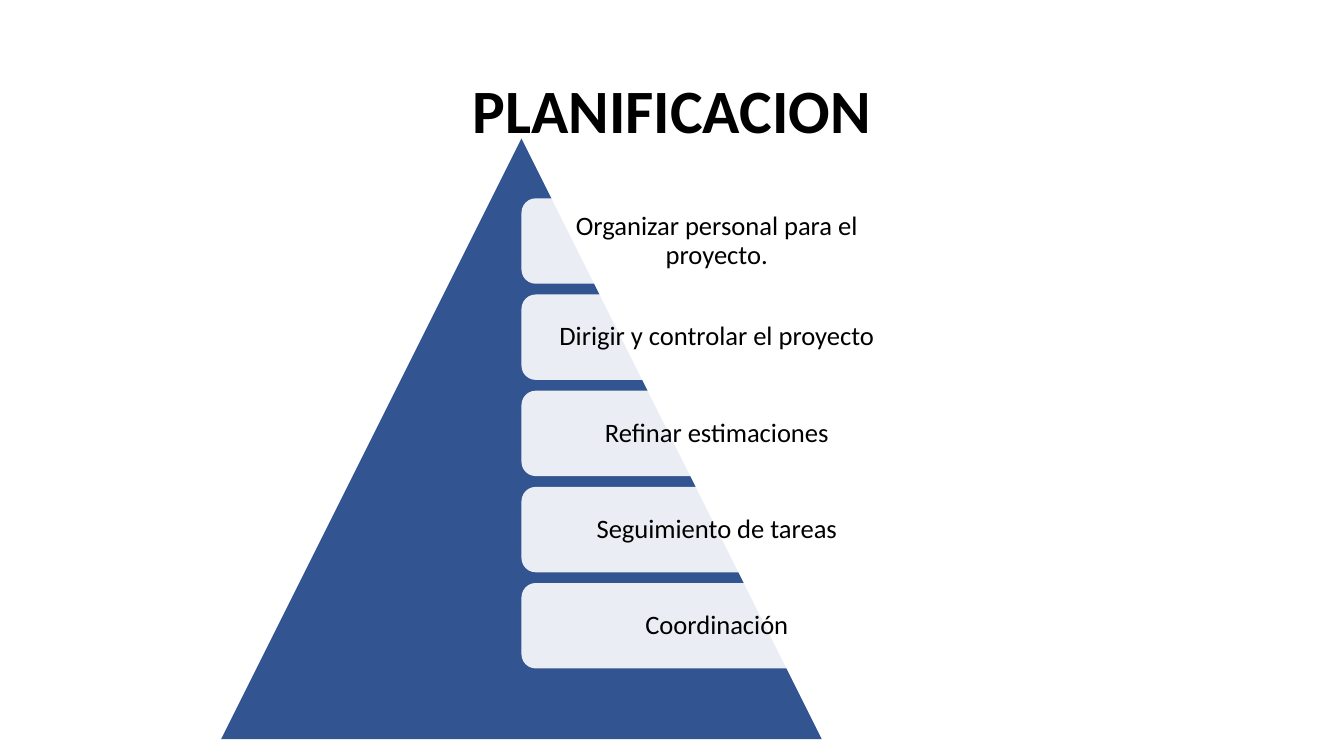
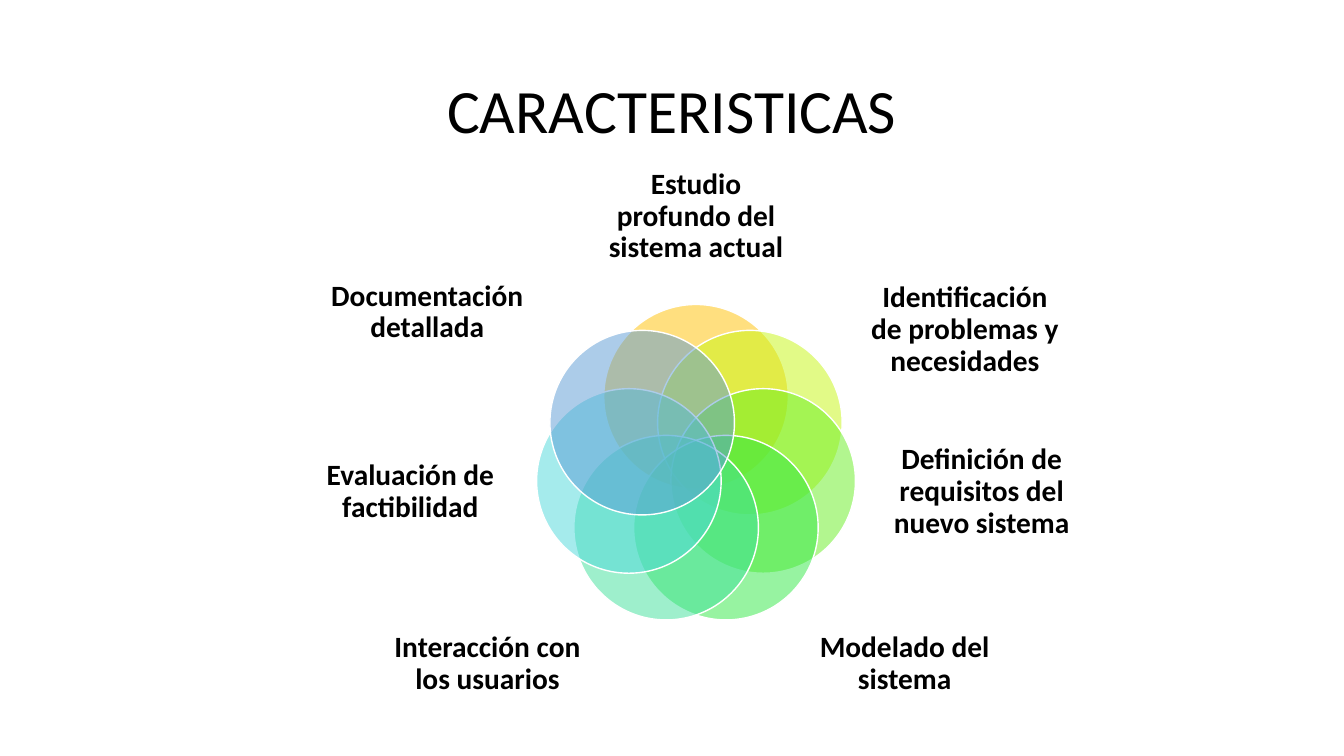
from math import cos, pi, sin

from lxml.etree import SubElement
from pptx import Presentation
from pptx.dml.color import RGBColor
from pptx.enum.shapes import MSO_SHAPE as SHAPE
from pptx.enum.text import MSO_ANCHOR as ANCHOR, PP_ALIGN as ALIGN
from pptx.oxml.ns import qn
from pptx.util import Pt

FONT = "Calibri"
COLORS = {
    "text": "000000",
    "white": "FFFFFF",
    "pyramid": "325491",
    "amber": "FFC000",
    "lime": "C7F711",
    "grass": "67EF21",
    "green": "30E845",
    "mint": "3FE19B",
    "cyan": "4DD8DB",
    "blue": "5B9BD5",
}


def rgb(name):
    return RGBColor.from_string(COLORS[name])


def put_text(sp, text, size, bold=False, inset=None):
    """Write one centred paragraph into a shape."""
    tf = sp.text_frame
    tf.word_wrap = True
    tf.vertical_anchor = ANCHOR.MIDDLE
    if inset is not None:
        tf.margin_left = tf.margin_right = Pt(inset)
        tf.margin_top = tf.margin_bottom = Pt(inset)
    p = tf.paragraphs[0]
    p.alignment = ALIGN.CENTER
    p.line_spacing = 0.9
    r = p.add_run()
    r.text = text
    r.font.name = FONT
    r.font.size = Pt(size)
    r.font.bold = bold
    r.font.color.rgb = rgb("text")


class Deck:
    def __init__(self):
        self.prs = Presentation()
        self.prs.slide_width, self.prs.slide_height = Pt(960), Pt(540)
        self.slide = None

    def new_slide(self, title, bold=False):
        self.slide = self.prs.slides.add_slide(self.prs.slide_layouts[5])
        sp = self.slide.shapes.title
        sp.left, sp.top, sp.width, sp.height = Pt(66), Pt(28.75), Pt(828), Pt(104.4)
        put_text(sp, title, 44, bold)

    def shape(self, kind, x, y, w, h, fill, opacity=100, line=None):
        sp = self.slide.shapes.add_shape(kind, Pt(x), Pt(y), Pt(w), Pt(h))
        sp.shadow.inherit = False
        sp.fill.solid()
        sp.fill.fore_color.rgb = rgb(fill)
        if opacity < 100:
            color = sp.fill._xPr.find(qn("a:solidFill"))[0]
            SubElement(color, qn("a:alpha"), val=str(opacity * 1000))
        if line:
            sp.line.color.rgb = rgb(line)
            sp.line.width = Pt(1)
        else:
            sp.line.fill.background()
        return sp

    def label(self, text, x, y, w, h):
        sp = self.slide.shapes.add_textbox(Pt(x), Pt(y), Pt(w), Pt(h))
        put_text(sp, text, 21, bold=True, inset=0)


def planning_slide(deck):
    deck.new_slide("PLANIFICACION", bold=True)
    deck.shape(SHAPE.ISOSCELES_TRIANGLE, 158, 98.9, 429, 429, "pyramid")

    # Steps stacked from the axis of the pyramid
    steps = [
        "Organizar personal para el proyecto.",
        "Dirigir y controlar el proyecto",
        "Refinar estimaciones",
        "Seguimiento de tareas",
        "Coordinación",
    ]
    for i, step in enumerate(steps):
        sp = deck.shape(SHAPE.ROUNDED_RECTANGLE, 372.5, 141.7 + i * 68.7,
                        279, 61, "white", opacity=90)
        put_text(sp, step, 19, inset=5.8)


def features_slide(deck):
    deck.new_slide("CARACTERISTICAS")
    center_x, center_y, ring, size = 497.2, 332.6, 49.2, 131.8

    # Colour, text, then label offset from the axis, top, width and height
    features = [
        ("amber", "Estudio profundo del sistema actual", 0, 114.5, 150.5, 80.6),
        ("lime", "Identificación de problemas y necesidades", 192, 191.5, 142.6, 88.6),
        ("grass", "Definición de requisitos del nuevo sistema", 204, 303.8, 139.7, 95),
        ("green", "Modelado del sistema", 149, 431.3, 150.5, 86.4),
        ("mint", "Interacción con los usuarios", -149, 431.3, 150.5, 86.4),
        ("cyan", "Evaluación de factibilidad", -204, 303.8, 139.7, 95),
        ("blue", "Documentación detallada", -192, 179, 142.6, 88.6),
    ]
    for i, (color, text, offset, top, w, h) in enumerate(features):
        angle = 2 * pi * i / len(features)
        x = center_x + ring * sin(angle) - size / 2
        y = center_y - ring * cos(angle) - size / 2
        deck.shape(SHAPE.OVAL, x, y, size, size, color, opacity=50, line="white")
        deck.label(text, center_x + offset - w / 2, top, w, h)


def main():
    deck = Deck()
    planning_slide(deck)
    features_slide(deck)
    deck.prs.save("out.pptx")


if __name__ == "__main__":
    main()
